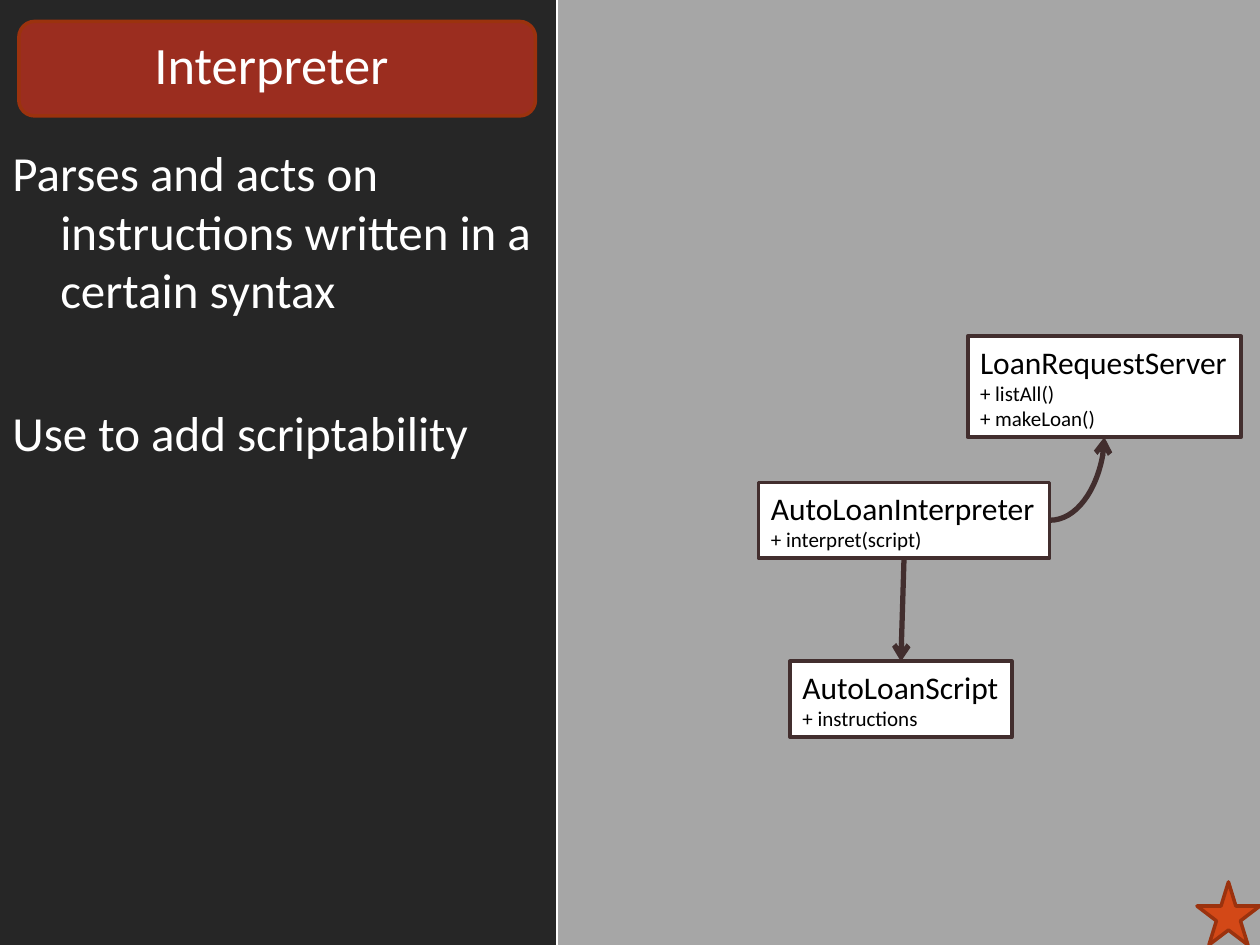
from lxml import etree
from pptx import Presentation
from pptx.dml.color import RGBColor
from pptx.enum.shapes import MSO_CONNECTOR, MSO_SHAPE
from pptx.enum.text import MSO_ANCHOR, MSO_AUTO_SIZE, PP_ALIGN
from pptx.oxml.ns import qn
from pptx.util import Inches, Pt

RECTANGLE, ROUNDED, STAR = MSO_SHAPE.RECTANGLE, MSO_SHAPE.ROUNDED_RECTANGLE, MSO_SHAPE.STAR_5_POINT
STRAIGHT, CURVE = MSO_CONNECTOR.STRAIGHT, MSO_CONNECTOR.CURVE
LEFT, CENTER = PP_ALIGN.LEFT, PP_ALIGN.CENTER
TOP, MIDDLE = MSO_ANCHOR.TOP, MSO_ANCHOR.MIDDLE
FIT_SHAPE, NO_FIT = MSO_AUTO_SIZE.SHAPE_TO_FIT_TEXT, MSO_AUTO_SIZE.NONE
SIDE_TOP, SIDE_BOTTOM, SIDE_RIGHT = 0, 2, 3

FONT = "Calibri"
COLUMNS, ROWS = 100, 75
PANEL_WIDTH = 44.2
COLORS = {
    "background": "A6A6A6",
    "panel": "262626",
    "banner": "9B2D1F",
    "edge": "9B320E",
    "star": "D34817",
    "class_line": "422E2E",
    "white": "FFFFFF",
    "black": "000000",
}


def color(name):
    return RGBColor.from_string(COLORS[name])


def write(frame, lines, sizes, ink="white", align=LEFT, anchor=TOP, wrap=True,
          fit=NO_FIT, gap=0, hanging=0):
    """Fill a text frame with one paragraph for each line; gap and sizes are in points."""
    frame.word_wrap = wrap
    frame.auto_size = fit
    frame.vertical_anchor = anchor
    for index, (line, size) in enumerate(zip(lines, sizes)):
        para = frame.paragraphs[0] if index == 0 else frame.add_paragraph()
        para.alignment = align
        if index and gap:
            para.space_before = Pt(gap)
        if hanging:
            properties = para._p.get_or_add_pPr()
            properties.set("marL", str(Inches(hanging)))
            properties.set("indent", str(-Inches(hanging)))
        span = para.add_run()
        span.text = line
        span.font.name = FONT
        span.font.size = Pt(size)
        span.font.color.rgb = color(ink)


class SlideBuilder:
    """Draws on one slide, with lengths given in grid columns and rows."""

    def __init__(self):
        self.deck = Presentation()
        self.deck.slide_width, self.deck.slide_height = Inches(10), Inches(7.5)
        self.page = self.deck.slides.add_slide(self.deck.slide_layouts[5])
        self.page.background.fill.solid()
        self.page.background.fill.fore_color.rgb = color("background")

    def place(self, left, top, width, height):
        across = self.deck.slide_width / COLUMNS
        down = self.deck.slide_height / ROWS
        return [round(value) for value in
                (left * across, top * down, width * across, height * down)]

    def shape(self, kind, area, fill, line=None, weight=2):
        shape = self.page.shapes.add_shape(kind, *self.place(*area))
        shape.shadow.inherit = False
        shape.fill.solid()
        shape.fill.fore_color.rgb = color(fill)
        if line:
            shape.line.color.rgb = color(line)
            shape.line.width = Pt(weight)
        else:
            shape.line.fill.background()
        return shape

    def title(self, words, area):
        title = self.page.shapes.title
        title.left, title.top, title.width, title.height = self.place(*area)
        write(title.text_frame, [words], [30], align=CENTER, anchor=MIDDLE)
        self.page.shapes._spTree.append(title._element)  # in front of the banner

    def text(self, lines, area, size, **style):
        box = self.page.shapes.add_textbox(*self.place(*area))
        write(box.text_frame, lines, [size] * len(lines), **style)

    def class_box(self, name, members, area):
        box = self.shape(RECTANGLE, area, "white", "class_line", 2.25)
        write(box.text_frame, [name, *members], [18] + [12] * len(members),
              ink="black", wrap=False, fit=FIT_SHAPE)
        return box

    def line(self, ends, ink, weight, kind=STRAIGHT):
        line = self.page.shapes.add_connector(kind, *self.place(*ends))
        line.line.color.rgb = color(ink)
        line.line.width = Pt(weight)
        etree.SubElement(line._element.spPr, qn("a:effectLst"))
        return line

    def arrow(self, source, source_side, target, target_side, kind=STRAIGHT):
        arrow = self.line((0, 0, 1, 1), "class_line", 3, kind)
        arrow.begin_connect(source, source_side)
        arrow.end_connect(target, target_side)
        if kind == CURVE:  # a single quarter bend
            arrow._element.spPr.find(qn("a:prstGeom")).set("prst", "curvedConnector2")
        etree.SubElement(arrow.line._get_or_add_ln(), qn("a:tailEnd"), type="arrow")


def main():
    slide = SlideBuilder()
    slide.shape(RECTANGLE, (0, 0, PANEL_WIDTH, ROWS), "panel")
    slide.shape(ROUNDED, (1.5, 1.7, 41, 7.5), "banner", "edge")
    slide.line((PANEL_WIDTH, 0, PANEL_WIDTH, ROWS), "white", 1)
    slide.text(["Parses and acts on instructions written in a certain syntax",
                "Use to add scriptability"],
               (0, 10.8, 44.1, 64.2), 28, gap=48, hanging=0.38)
    slide.title("Interpreter", (0.8, 1.7, 41.5, 6.7))

    script = slide.class_box("AutoLoanScript", ["+ instructions"], (62.7, 52.5, 17.6, 6))
    interpreter = slide.class_box("AutoLoanInterpreter", ["+ interpret(script)"],
                                  (60.2, 38.3, 23.1, 6))
    server = slide.class_box("LoanRequestServer", ["+ listAll()", "+ makeLoan()"],
                             (76.8, 26.7, 21.7, 8))
    slide.arrow(interpreter, SIDE_BOTTOM, script, SIDE_TOP)
    slide.arrow(interpreter, SIDE_RIGHT, server, SIDE_BOTTOM, CURVE)
    slide.shape(STAR, (95, 70, 5, 5), "star", "edge")
    slide.deck.save("out.pptx")


if __name__ == "__main__":
    main()
